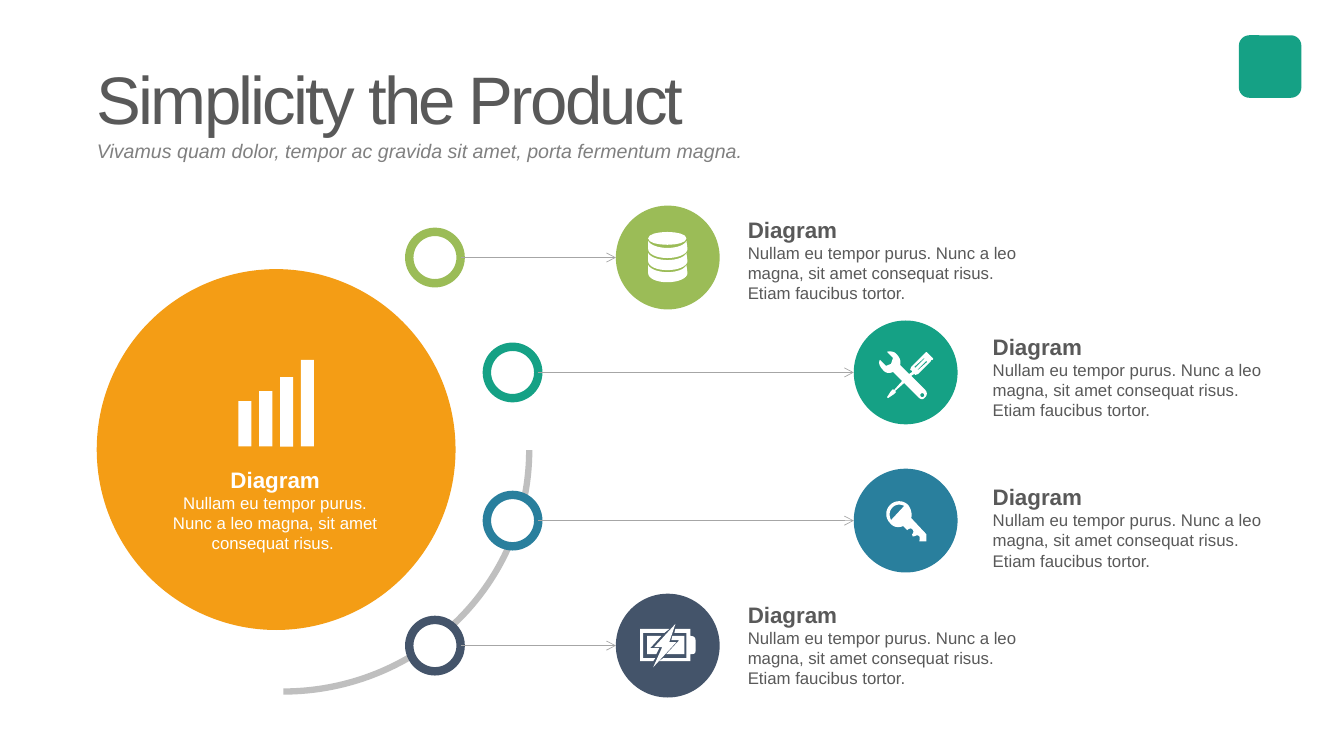
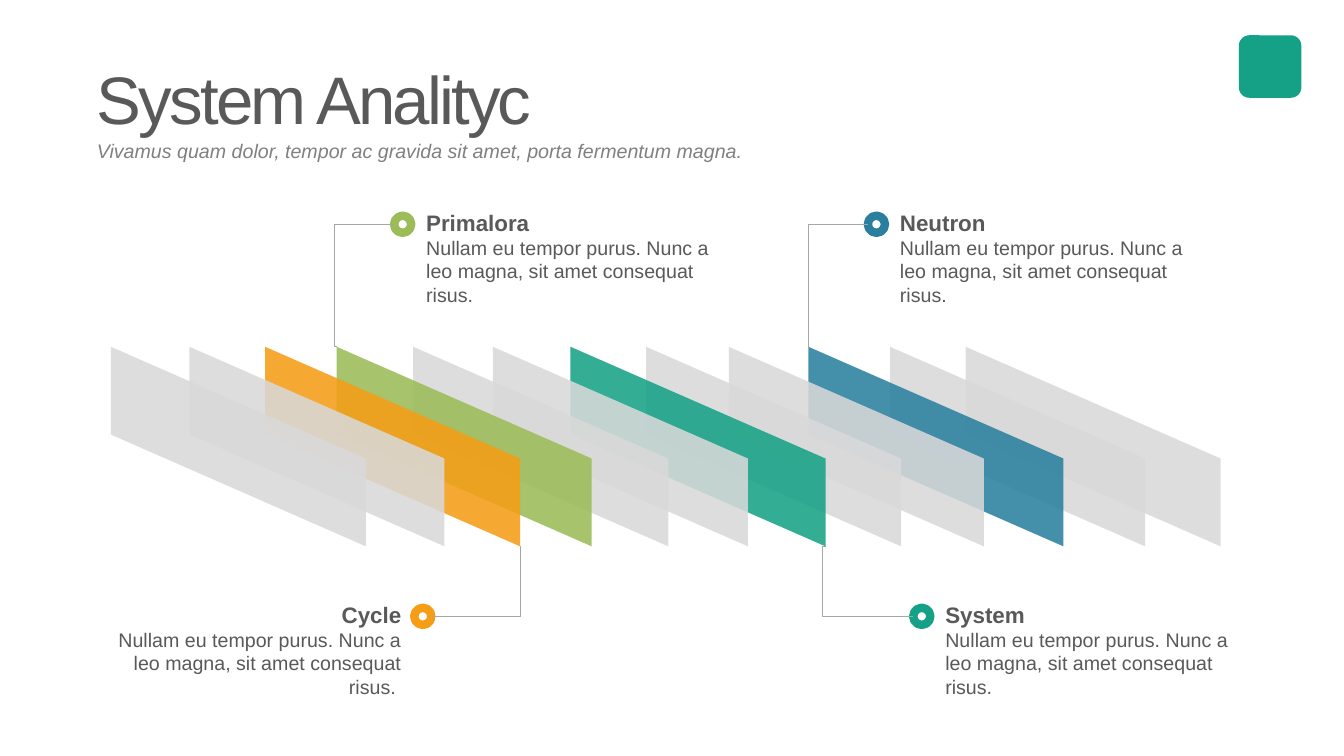
import lxml.etree
import pptx
import pptx.dml.color
import pptx.enum.shapes
import pptx.enum.text
import pptx.oxml.ns
import pptx.util

CELL = pptx.util.Inches(0.1)
COLUMNS, ROWS = 133.33, 75
FONT = "Arial"
COLORS = {
    "white": "FFFFFF", "text": "595959", "subtitle": "808080", "line": "A6A6A6",
    "arc": "BFBFBF", "slat": "D9D9D9", "green": "9BBC57", "teal": "15A185",
    "blue": "297F9D", "navy": "44546A", "orange": "F49D15",
}
SHAPE = pptx.enum.shapes.MSO_SHAPE
CONNECTOR = pptx.enum.shapes.MSO_CONNECTOR
ALIGN = pptx.enum.text.PP_ALIGN
ANCHOR = pptx.enum.text.MSO_ANCHOR
qn = pptx.oxml.ns.qn

SUBTITLE = "Vivamus quam dolor, tempor ac gravida sit amet, porta fermentum magna."
SHORT = "Nullam eu tempor purus. Nunc a leo magna, sit amet consequat risus."
LONG = SHORT + " Etiam faucibus tortor."

ICON_GRID = 103
BATTERY = [
    [(27, 64), (27, 39), (48, 39), (53, 35), (24, 35), (24, 67), (37, 67), (39, 64)],
    [(74, 42), (74, 35), (59, 35), (58, 39), (70, 39), (70, 64), (47, 64), (43, 67),
     (74, 67), (74, 60), (76, 60, 79, 60, 79, 57), (79, 46), (79, 42, 75, 42, 74, 42)],
    [(31, 42), (31, 60), (40, 60), (43, 54), (34, 54), (45, 42)],
    [(63, 46), (50, 60), (68, 60), (68, 42), (56, 42), (55, 46)],
    [(53, 48), (59, 30), (38, 53), (46, 53), (37, 73), (60, 48)],
]
KEY = [
    [(36, 36), (31, 41, 31, 49, 36, 54), (39, 58, 44, 59, 49, 57), (53, 61),
     (53, 61, 56, 58, 58, 60), (60, 62, 59, 64, 58, 65), (58, 66, 58, 68, 60, 67),
     (61, 67, 63, 65, 65, 67), (66, 69, 65, 72, 65, 72), (72, 72), (72, 65), (57, 49),
     (58, 45, 57, 40, 54, 36), (49, 31, 41, 31, 36, 36)],
    [(37, 51), (35, 47, 35, 42, 38, 39), (41, 35, 47, 35, 50, 37)],
]
TOOLS = [
    [(78, 37), (73, 32), (72, 31, 72, 31, 71, 32), (69, 34), (57, 46), (56, 49),
     (58, 50), (58, 51), (55, 53), (46, 44), (47, 41, 46, 37, 43, 34),
     (41, 31, 37, 30, 33, 31), (39, 37), (37, 43), (32, 45), (26, 39),
     (24, 42, 26, 46, 29, 49), (31, 52, 35, 53, 39, 51), (48, 60), (40, 69), (39, 68),
     (37, 70), (33, 76), (34, 77), (40, 73), (42, 71), (41, 70), (50, 62), (64, 76),
     (65, 77, 66, 78, 68, 78), (69, 78, 70, 77, 71, 76), (73, 74, 73, 71, 71, 69),
     (57, 55), (60, 53), (61, 54), (64, 53), (76, 41), (77, 39), (78, 39),
     (79, 39, 79, 37, 78, 37)],
    [(68, 72), (69, 72, 70, 73, 70, 74), (70, 75, 69, 76, 68, 76),
     (67, 76, 66, 75, 66, 74), (66, 73, 67, 72, 68, 72)],
    [(61, 47), (60, 46), (70, 37), (70, 38)],
    [(64, 49), (63, 49), (72, 40), (73, 41)],
]
DATABASE = [
    [(32, 32.5), (32, 24, 70, 24, 70, 32.5), (70, 41, 32, 41, 32, 32.5)],
    *[[(70, y), (68, y + 4, 61, y + 7, 51, y + 7), (42, y + 7, 34, y + 4, 32, y),
       (32, y + 8), (32, y + 13, 40, y + 17, 51, y + 17),
       (62, y + 17, 71, y + 13, 71, y + 8)] for y in (35, 47, 59)],
]


def cells(*lengths):
    """Turn grid cells into slide lengths."""
    return [round(n * CELL) for n in lengths]


def rgb(name):
    """Look up a named colour."""
    return pptx.dml.color.RGBColor.from_string(COLORS[name])


def paint(sp, fill=None, line=None, width=6):
    """Set the fill and outline of a shape."""
    sp.shadow.inherit = False
    if fill:
        sp.fill.solid()
        sp.fill.fore_color.rgb = rgb(fill)
    else:
        sp.fill.background()
    if line:
        sp.line.color.rgb = rgb(line)
        sp.line.width = pptx.util.Pt(width)
    else:
        sp.line.fill.background()
    return sp


def shape(slide, kind, x, y, w, h, **style):
    """Add a painted preset shape."""
    return paint(slide.shapes.add_shape(kind, *cells(x, y, w, h)), **style)


def flatten(contour, steps=8):
    """Replace the cubic curves of a contour by short straight segments."""
    points = [contour[0]]
    for node in contour[1:]:
        if len(node) == 2:
            points.append(node)
            continue
        nodes = (points[-1], node[:2], node[2:4], node[4:])
        for i in range(1, steps + 1):
            t = i / steps
            weights = ((1 - t) ** 3, 3 * t * (1 - t) ** 2, 3 * t * t * (1 - t), t ** 3)
            points.append(tuple(sum(k * n[axis] for k, n in zip(weights, nodes))
                                for axis in (0, 1)))
    return points


def outline(slide, contours, x, y, unit, fill):
    """Add one freeform whose contours are measured from x, y in the given unit."""
    builder = None
    for contour in contours:
        points = [cells(x + px * unit, y + py * unit) for px, py in flatten(contour)]
        if builder is None:
            builder = slide.shapes.build_freeform(*points[0], scale=1.0)
        else:
            builder.move_to(*points[0])
        builder.add_line_segments(points[1:], close=True)
    return paint(builder.convert_to_shape(), fill=fill)


def connect(slide, kind, start, end, arrow=False, bend=None):
    """Add a thin grey connector, with an arrowhead or a bend if asked."""
    c = slide.shapes.add_connector(kind, *cells(*start, *end))
    c.line.color.rgb = rgb("line")
    c.line.width = pptx.util.Pt(0.5)
    props = c._element.spPr
    if arrow:
        lxml.etree.SubElement(props.find(qn("a:ln")), qn("a:tailEnd"), type="arrow")
    if bend is not None:
        guides = props.find(qn("a:prstGeom")).get_or_add_avLst()
        lxml.etree.SubElement(guides, qn("a:gd"), name="adj1", fmla=f"val {bend}")
    lxml.etree.SubElement(props, qn("a:effectLst"))


def write(tf, text, size=12, color="text", bold=False, italic=False,
          align=ALIGN.LEFT, spacing=1.0, tracking=None, plain=False):
    """Write one formatted paragraph into a text frame."""
    p = tf.add_paragraph() if tf.text else tf.paragraphs[0]
    if plain:
        props = p._p.get_or_add_pPr()
        props.set("marL", "0")
        props.set("indent", "0")
        lxml.etree.SubElement(props, qn("a:buNone"))
    p.alignment, p.line_spacing = align, spacing
    p.space_before = p.space_after = pptx.util.Pt(0)
    r = p.add_run()
    r.text = text
    r.font.name, r.font.size = FONT, pptx.util.Pt(size)
    r.font.bold, r.font.italic = bold, italic
    r.font.color.rgb = rgb(color)
    if tracking:
        r._r.get_or_add_rPr().set("spc", str(tracking))


def caption(slide, x, y, w, h, heading, body, size=12, **style):
    """Add a bold heading with a paragraph under it."""
    tf = slide.shapes.add_textbox(*cells(x, y, w, h)).text_frame
    tf.word_wrap = True
    write(tf, heading, size=16, bold=True, spacing=1.5, **style)
    write(tf, body, size=size, **style)


def fit(sp, x, y, w, h, anchor):
    """Move a placeholder and give it tight margins."""
    sp.left, sp.top, sp.width, sp.height = cells(x, y, w, h)
    tf = sp.text_frame
    tf.word_wrap, tf.auto_size = True, pptx.enum.text.MSO_AUTO_SIZE.NONE
    tf.vertical_anchor = anchor
    tf.margin_left, tf.margin_top, tf.margin_right, tf.margin_bottom = cells(
        0.7, 0.3, 0.7, 0.3)
    return tf


def add_slide(prs, title):
    """Start a slide with its title, subtitle and corner badge."""
    slide = prs.slides.add_slide(prs.slide_layouts[1])
    shape(slide, SHAPE.ROUNDED_RECTANGLE, 122.9, 3.5, 6.2, 6.2, fill="teal")
    heading, subtitle = slide.placeholders
    write(fit(heading, 8.9, 5.4, 70, 8.8, ANCHOR.TOP), title, size=48, tracking=-200)
    write(fit(subtitle, 8.9, 13.4, 70, 3, ANCHOR.MIDDLE), SUBTITLE, size=14,
          color="subtitle", italic=True, plain=True)
    return slide


def hub(slide, x, y, w, h):
    """Draw the large disc with its bar icon and caption."""
    shape(slide, SHAPE.OVAL, x, y, w, h, fill="orange")
    caption(slide, x + 6.1, y + 17.7, 23.2, 11.1, "Diagram", SHORT + " ",
            color="white", align=ALIGN.CENTER)
    for i, bar in enumerate((4.5, 5.5, 6.9, 8.6)):
        shape(slide, SHAPE.RECTANGLE, x + 14.05 + 2.07 * i, y + 17.6 - bar, 1.3, bar,
              fill="white")


def spoke(slide, x, y, w, h, reach, lift, color, icon):
    """Draw a ring, an arrow to an icon disc, and the caption at the box's right."""
    ring, text_w, middle = 5.1, 29.7, y + h / 2
    shape(slide, SHAPE.OVAL, x, middle - ring / 2, ring, ring, fill="white", line=color)
    connect(slide, CONNECTOR.STRAIGHT, (x + ring, middle), (x + reach, middle), arrow=True)
    shape(slide, SHAPE.OVAL, x + reach, y, h, h, fill=color)
    outline(slide, icon, x + reach, y, h / ICON_GRID, "white")
    caption(slide, x + w - text_w, y - lift, text_w, 11.1, "Diagram", LONG)


def slat(slide, x, y, w, h, color):
    """Draw one see-through slanted panel."""
    corners = [(w, 0.56 * h), (0, 0), (0, 0.44 * h), (w, h)]
    sp = outline(slide, [corners], x, y, 1, color)
    fill = sp._element.spPr.find(qn("a:solidFill"))
    lxml.etree.SubElement(fill[0], qn("a:alpha"), val="87000")


def callout(slide, x, y, w, h, heading, body, color, corner, bend=0, mirrored=False):
    """Draw a caption whose dot is tied to the corner of a slat."""
    dot = 1.7
    dot_x = x + w + 0.3 if mirrored else x - 2.2
    caption(slide, x, y, w, h, heading, body, size=14,
            align=ALIGN.RIGHT if mirrored else ALIGN.LEFT)
    shape(slide, SHAPE.OVAL, dot_x, y + 2.5, dot, dot, line=color)
    connect(slide, CONNECTOR.ELBOW, corner,
            (dot_x + dot if mirrored else dot_x, y + 2.5 + dot / 2), bend=bend)


def product_slide(prs):
    """Build the hub and spokes slide."""
    slide = add_slide(prs, "Simplicity the Product")
    arc = shape(slide, SHAPE.ARC, 3.7, 20.7, 48.8, 47.9, line="arc", width=4.5)
    arc.adjustments[0], arc.adjustments[1] = -54, 54
    for x, y, w, reach, lift, color, icon in (
            (40.6, 20.4, 62.3, 20.5, 0.8, "green", DATABASE),
            (48.3, 31.8, 78.9, 36.4, 0.6, "teal", TOOLS),
            (48.3, 46.5, 78.9, 36.4, 0.4, "blue", KEY),
            (40.6, 58.9, 62.3, 20.5, 1.1, "navy", BATTERY)):
        spoke(slide, x, y, w, 10.3, reach, lift, color, icon)
    hub(slide, 9.6, 26.7, 35.6, 35.8)


def system_slide(prs):
    """Build the slide with the row of slats and four callouts."""
    slide = add_slide(prs, "System Analityc")
    lefts = (11, 18.8, 26.3, 33.4, 41, 48.9, 56.6, 64.1, 72.3, 80.2, 88.3, 95.8)
    accents = {26.3: "orange", 33.4: "green", 56.6: "teal", 80.2: "blue"}
    top, w, h = 34.4, 25.3, 19.8
    for x in reversed(lefts):
        slat(slide, x, top, w, h, accents.get(x, "slat"))
    for x, y, heading, body, color, corner, bend, mirrored in (
            (88.3, 18.9, "Neutron", SHORT, "blue", (80.2, top), 0, False),
            (41.3, 18.9, "Primalora", SHORT, "green", (33.4, top), -4300, False),
            (92.8, 57.8, "System", SHORT, "teal", (56.6 + w, top + h), -3100, False),
            (10.2, 57.8, "Cycle", SHORT + " ", "orange", (26.3 + w, top + h), 0, True)):
        callout(slide, x, y, 30.6, 12.1, heading, body, color, corner, bend, mirrored)


def main():
    """Build and save the presentation."""
    prs = pptx.Presentation()
    prs.slide_width, prs.slide_height = cells(COLUMNS, ROWS)
    product_slide(prs)
    system_slide(prs)
    prs.save("out.pptx")


if __name__ == "__main__":
    main()
